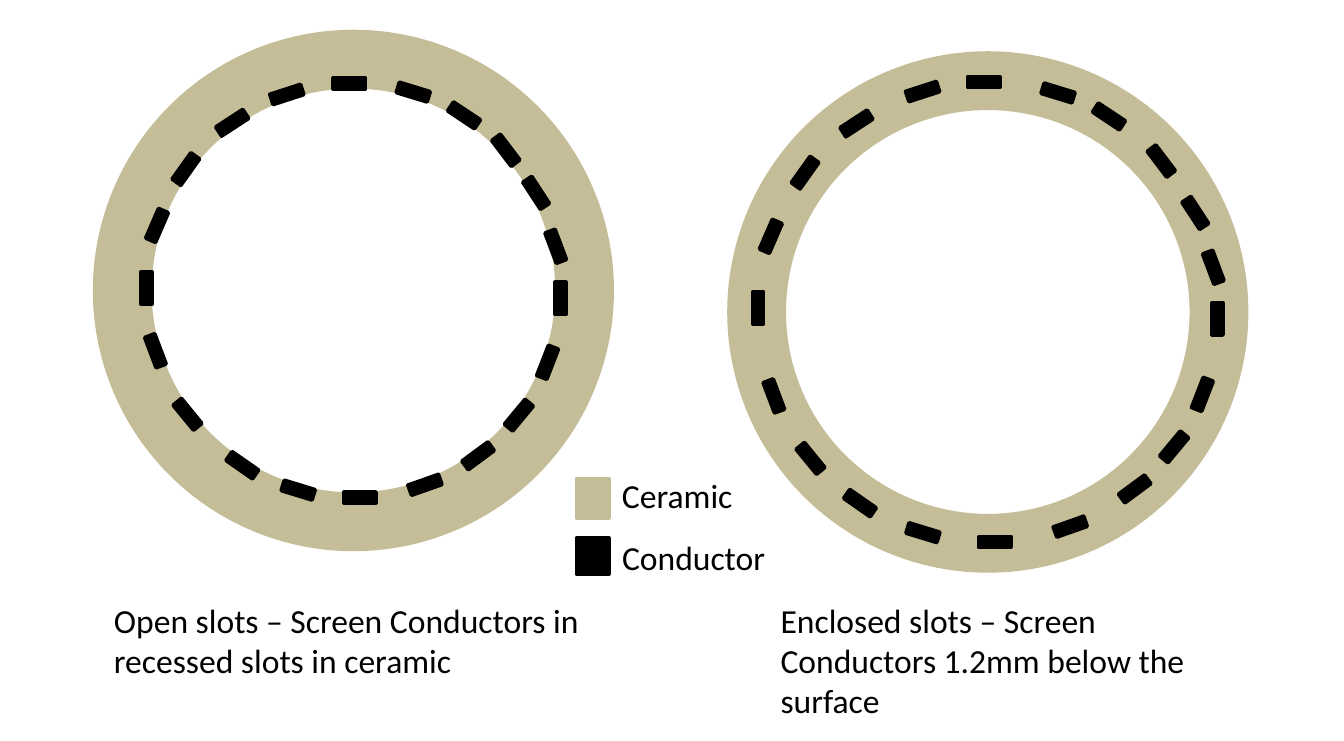
from math import cos, radians, sin

from pptx import Presentation
from pptx.dml.color import RGBColor
from pptx.enum.shapes import MSO_SHAPE as SHAPE
from pptx.enum.text import MSO_AUTO_SIZE as AUTO_SIZE
from pptx.util import Inches, Pt

CERAMIC, CONDUCTOR, TEXT = "C4BD97", "000000", "000000"
RING_SIZE, RING_THICKNESS = 3.44, 31.5  # inches, points
SLOT_W, SLOT_H = 0.24, 0.08
SWATCH_X, SWATCH_W = 4.29, 0.24
CAPTION_Y, CAPTION_W = 4.41, 3.7

# Angles are degrees clockwise from the top of a ring; the slots are spaced by
# hand, so each has its own bearing. Both rings share the tilts.
SLOT_TILTS = [0, 17, 33.5, 52.8, 56.8, 69.3, 90, 111.2, 129.7, 143.6, 160.6,
              0, 197, 214.8, 230.7, 249.3, 90, 113.4, 125.5, 146.9, 162]

RINGS = [
    {   # open slots: conductors on the inner edge of the ceramic
        "center": (2.63, 2.16),
        "slot_radius": 1.54,
        "bearings": [358.9, 16.8, 32.3, 47.4, 61.9, 77.7, 92.2,
                     110.3, 127, 143, 159.8, 178.2, 195.5, 212.5,
                     233.3, 253.1, 270.7, 288.3, 305.9, 324.1, 341.2],
        "caption": "Open slots – Screen Conductors in recessed slots in ceramic",
        "caption_x": 0.75,
        "caption_h": 0.71,
    },
    {   # enclosed slots: conductors in the middle of the ceramic
        "center": (7.35, 2.32),
        "slot_radius": 1.71,
        "bearings": [359, 17.8, 31.8, 49, 64.5, 78.8, 91.7,
                     111, 125.9, 140.3, 159, 178.3, 196.4, 213.8,
                     230.5, 248.6, 271, 289.2, 307.3, 325.1, 343.5],
        "caption": "Enclosed slots – Screen Conductors 1.2mm below the surface",
        "caption_x": 5.71,
        "caption_h": 1.01,
    },
]

# Colour, swatch top and height, label, label top and width
LEGEND = [
    (CERAMIC, 3.56, 0.29, "Ceramic", 3.48, 1.03),
    (CONDUCTOR, 4, 0.27, "Conductor", 3.94, 1.28),
]

prs = Presentation()
prs.slide_width, prs.slide_height = Inches(10), Inches(5.51)
slide = prs.slides.add_slide(prs.slide_layouts[6])


def rgb(color):
    return RGBColor.from_string(color)


def add_shape(kind, center, w, h, color, line_width=2, filled=True, tilt=0):
    cx, cy = center
    sp = slide.shapes.add_shape(kind, Inches(cx - w / 2), Inches(cy - h / 2),
                                Inches(w), Inches(h))
    sp.shadow.inherit = False
    sp.rotation = tilt
    if filled:
        sp.fill.solid()
        sp.fill.fore_color.rgb = rgb(color)
    else:
        sp.fill.background()
    sp.line.color.rgb = rgb(color)
    sp.line.width = Pt(line_width)


def add_text(x, y, w, h, text, wrap):
    box = slide.shapes.add_textbox(Inches(x), Inches(y), Inches(w), Inches(h))
    tf = box.text_frame
    tf.word_wrap = wrap
    tf.auto_size = AUTO_SIZE.SHAPE_TO_FIT_TEXT
    r = tf.paragraphs[0].add_run()
    r.text = text
    r.font.name = "Calibri"
    r.font.size = Pt(18)
    r.font.color.rgb = rgb(TEXT)


def point_on_circle(center, radius, bearing):
    """Point at a bearing in degrees, clockwise from the top."""
    cx, cy = center
    angle = radians(bearing)
    return cx + radius * sin(angle), cy - radius * cos(angle)


def add_ring(ring):
    """Ceramic ring, its conductors and its caption."""
    center = ring["center"]
    add_shape(SHAPE.OVAL, center, RING_SIZE, RING_SIZE, CERAMIC,
              RING_THICKNESS, filled=False)
    for bearing, tilt in zip(ring["bearings"], SLOT_TILTS):
        slot_center = point_on_circle(center, ring["slot_radius"], bearing)
        add_shape(SHAPE.RECTANGLE, slot_center, SLOT_W, SLOT_H, CONDUCTOR, tilt=tilt)
    add_text(ring["caption_x"], CAPTION_Y, CAPTION_W, ring["caption_h"],
             ring["caption"], wrap=True)


for ring in RINGS:
    add_ring(ring)

for color, top, height, label, label_top, label_w in LEGEND:
    swatch_center = (SWATCH_X + SWATCH_W / 2, top + height / 2)
    add_shape(SHAPE.RECTANGLE, swatch_center, SWATCH_W, height, color)
    add_text(SWATCH_X + SWATCH_W, label_top, label_w, 0.4, label, wrap=False)

prs.save("out.pptx")
